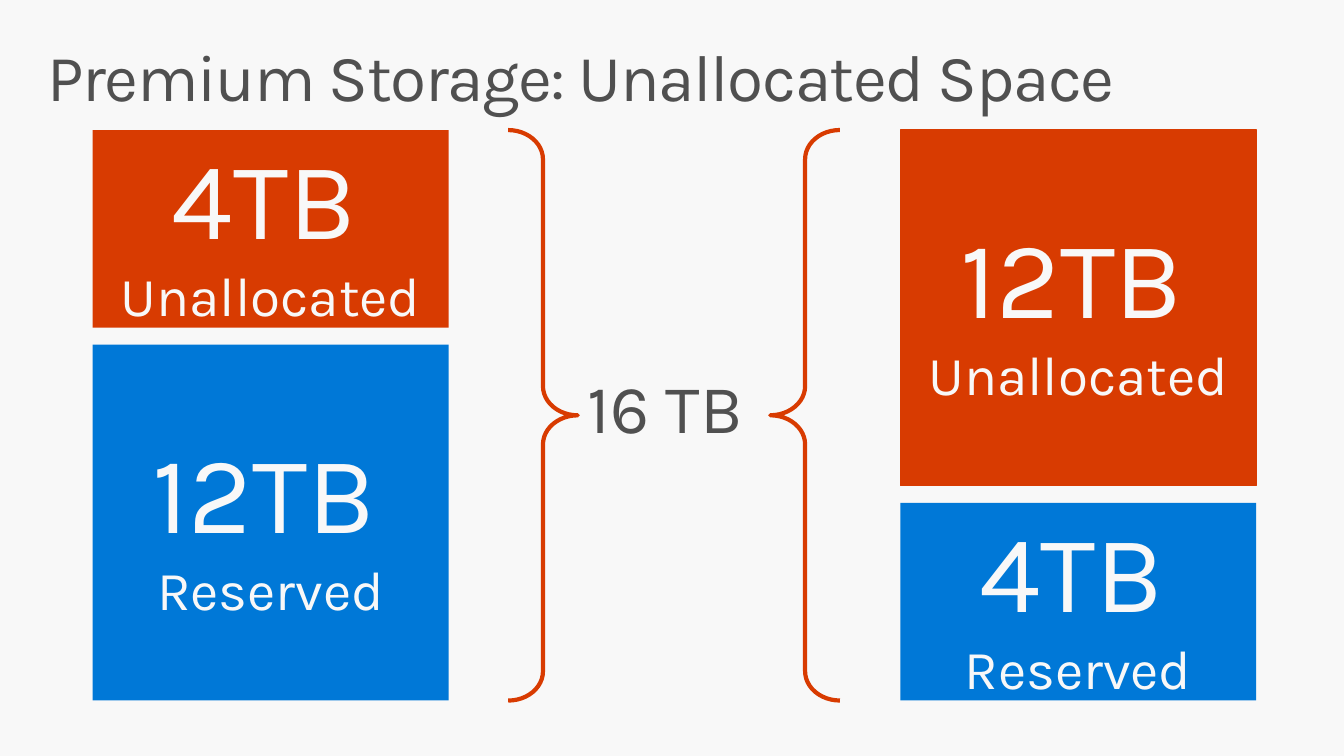
from pptx import Presentation
from pptx.dml.color import RGBColor
from pptx.enum import shapes, text
from pptx.util import Inches, Pt

ORANGE = RGBColor(0xD8, 0x3B, 0x01)
BLUE = RGBColor(0x00, 0x78, 0xD7)
GRAY = RGBColor(0x50, 0x50, 0x50)
PALE = RGBColor(0xF8, 0xF8, 0xF8)

TOP, BOTTOM = 1.29, 6.95
BLOCK_WIDTH = 3.53
HEIGHTS = {"4TB": 1.96, "12TB": 3.53}


def add_span(para, content, size, color):
    span = para.add_run()
    span.text = content
    span.font.name = "Karla"
    span.font.size = Pt(size)
    span.font.color.rgb = color
    return span


def set_frame(frame, anchor, side, edge, wrap=True):
    """Set anchor, wrapping and insets (side and edge in inches)."""
    frame.auto_size = text.MSO_AUTO_SIZE.NONE
    frame.word_wrap = wrap
    frame.vertical_anchor = anchor
    frame.margin_left = frame.margin_right = Inches(side)
    frame.margin_top = frame.margin_bottom = Inches(edge)


deck = Presentation()
deck.slide_width, deck.slide_height = Inches(13.33), Inches(7.5)
page = deck.slides.add_slide(deck.slide_layouts[5])
page.background.fill.solid()
page.background.fill.fore_color.rgb = PALE

# Title
title = page.shapes.title
title.left, title.top = Inches(0.31), Inches(0.34)
title.width, title.height = Inches(12.75), Inches(1.9)
set_frame(title.text_frame, text.MSO_ANCHOR.TOP, 0.16, 0.1)
para = title.text_frame.paragraphs[0]
para.alignment = text.PP_ALIGN.LEFT
para.line_spacing = 0.9
span = add_span(para, "Premium Storage: Unallocated Space", 47, GRAY)
span.font._element.set("spc", "-100")

# Braces around the total
for left, rotation in ((5.04, 180), (7.64, 0)):
    brace = page.shapes.add_shape(
        shapes.MSO_SHAPE.LEFT_BRACE,
        Inches(left), Inches(TOP), Inches(0.69), Inches(BOTTOM - TOP))
    brace.rotation = rotation
    brace.adjustments[0] = 0.42
    brace.shadow.inherit = False
    brace.fill.background()
    brace.line.color.rgb = ORANGE
    brace.line.width = Pt(3)

total = page.shapes.add_textbox(Inches(5.63), Inches(3.55), Inches(2.08), Inches(1.06))
set_frame(total.text_frame, text.MSO_ANCHOR.TOP, 0.2, 0.16, wrap=False)
para = total.text_frame.paragraphs[0]
para.line_spacing = 0.9
para.space_after = Pt(5.9)
add_span(para, "16 TB", 49, GRAY)

# Storage blocks: unallocated hangs from the top, reserved stands on the bottom
for left, unallocated, reserved in ((0.92, "4TB", "12TB"), (8.93, "12TB", "4TB")):
    for amount, label, color, top in (
            (unallocated, "Unallocated", ORANGE, TOP),
            (reserved, "Reserved", BLUE, BOTTOM - HEIGHTS[reserved])):
        block = page.shapes.add_shape(
            shapes.MSO_SHAPE.RECTANGLE,
            Inches(left), Inches(top), Inches(BLOCK_WIDTH), Inches(HEIGHTS[amount]))
        block.shadow.inherit = False
        block.fill.solid()
        block.fill.fore_color.rgb = color
        block.line.fill.background()
        if (amount, label) == ("12TB", "Unallocated"):
            block.line.color.rgb = ORANGE
            block.line.width = Pt(0.85)
        frame = block.text_frame
        set_frame(frame, text.MSO_ANCHOR.MIDDLE, 0, 0.05)
        amount_para, label_para = frame.paragraphs[0], frame.add_paragraph()
        amount_para.alignment = label_para.alignment = text.PP_ALIGN.CENTER
        add_span(amount_para, amount, 78.4, PALE)
        add_span(amount_para, " ", 39.2, PALE)
        add_span(label_para, label, 39.2, PALE)

deck.save("out.pptx")
